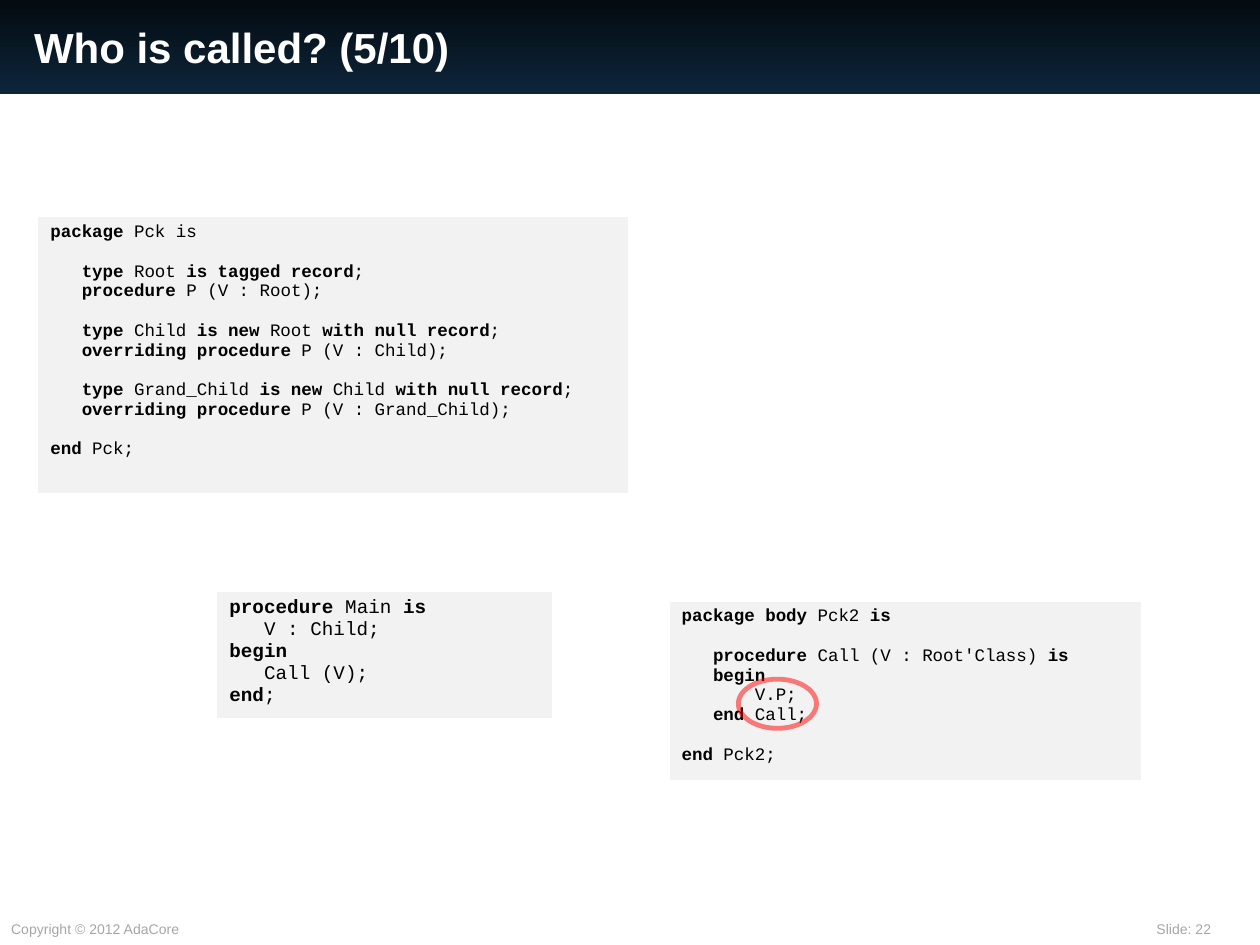
"""Build the Ada dispatching quiz slide "Who is called? (5/10)"."""
from dataclasses import dataclass

import pptx
import pptx.dml.color
import pptx.enum.shapes
import pptx.enum.text
import pptx.oxml
import pptx.oxml.ns
import pptx.util

Inches = pptx.util.Inches
Pt = pptx.util.Pt
MSO_SHAPE = pptx.enum.shapes.MSO_SHAPE


@dataclass(frozen=True)
class Theme:
    """Colours, fonts and type sizes."""
    sans: str = "Arial"
    mono: str = "Courier New"
    title_size: float = 24
    footer_size: float = 8
    line_height: float = 1.13
    white: str = "FFFFFF"
    black: str = "000000"
    grey: str = "A6A6A6"
    panel: str = "F2F2F2"
    ring: str = "FF0000"
    banner: tuple[str, str] = ("040B11", "0D253A")


@dataclass(frozen=True)
class Box:
    """Position and size in inches."""
    left: float
    top: float
    width: float
    height: float

    def emu(self) -> tuple[int, ...]:
        """Return the four lengths for an add method."""
        return tuple(Inches(v) for v in (self.left, self.top, self.width, self.height))


@dataclass(frozen=True)
class Listing:
    """A code panel; asterisks enclose bold keywords."""
    box: Box
    size: float
    code: str


@dataclass(frozen=True)
class Footer:
    """A small line of text at the bottom."""
    box: Box
    text: str
    wrap: bool


THEME = Theme()

LISTINGS = (
    Listing(Box(0.3, 1.72, 4.69, 2.2), 10, """\
*package* Pck is

   *type* Root *is tagged record*;
   *procedure* P (V : Root);

   *type* Child *is new* Root *with null record*;
   *overriding procedure* P (V : Child);

   *type* Grand_Child *is new* Child *with null record*;
   *overriding procedure* P (V : Grand_Child);

*end* Pck;"""),
    Listing(Box(5.31, 4.77, 3.75, 1.43), 10, """\
*package body* Pck2 *is*

   *procedure* Call (V : Root'Class) *is*
   *begin*
       V.P;
   *end* Call;

*end* Pck2;"""),
    Listing(Box(1.72, 4.69, 2.66, 1.02), 11, """\
*procedure* Main *is*
   V : Child;
*begin*
   Call (V);
*end*;"""),
)

FOOTERS = (
    Footer(Box(9.08, 7.26, 0.91, 0.24), "Slide: 22", True),
    Footer(Box(-0.01, 7.26, 1.57, 0.24), "Copyright © 2012 AdaCore", False),
)


def rgb(value: str) -> pptx.dml.color.RGBColor:
    """Turn a hex string into a colour."""
    return pptx.dml.color.RGBColor.from_string(value)


def add_run(p, text: str, font: str, size: float, color: str, bold: bool = False) -> None:
    """Append one formatted run."""
    r = p.add_run()
    r.text = text
    r.font.name = font
    r.font.size = Pt(size)
    r.font.bold = bold
    r.font.color.rgb = rgb(color)


def add_banner(s) -> None:
    """Draw the gradient banner and place the title on it."""
    banner = s.shapes.add_shape(MSO_SHAPE.RECTANGLE, *Box(-0.01, 0, 10.01, 0.75).emu())
    banner.shadow.inherit = False
    banner.line.fill.background()
    banner.fill.gradient()
    banner.fill.gradient_angle = 270
    for stop, position, color in zip(banner.fill.gradient_stops, (0, 1), THEME.banner):
        stop.position = position
        stop.color.rgb = rgb(color)

    title = s.shapes.title
    banner.element.addnext(title.element)
    title.left, title.top, title.width, title.height = Box(0.17, 0.08, 8.75, 0.58).emu()
    tf = title.text_frame
    tf.auto_size = pptx.enum.text.MSO_AUTO_SIZE.NONE
    tf.vertical_anchor = pptx.enum.text.MSO_ANCHOR.MIDDLE
    p = tf.paragraphs[0]
    p.alignment = pptx.enum.text.PP_ALIGN.LEFT
    add_run(p, "Who is called? (5/10)", THEME.sans, THEME.title_size, THEME.white, True)


def add_footer(s, footer: Footer) -> None:
    """Add one footer text box."""
    tf = s.shapes.add_textbox(*footer.box.emu()).text_frame
    tf.word_wrap = footer.wrap
    add_run(tf.paragraphs[0], footer.text, THEME.sans, THEME.footer_size, THEME.grey)


def set_borders(cell) -> None:
    """Give a cell white borders with a heavier bottom edge."""
    tc_pr = cell._tc.get_or_add_tcPr()
    for side, width in (("L", 0.45), ("R", 0.45), ("T", 0.45), ("B", 1.47)):
        tc_pr.append(pptx.oxml.parse_xml(
            f'<a:ln{side} {pptx.oxml.ns.nsdecls("a")} w="{Pt(width)}"><a:solidFill>'
            f'<a:srgbClr val="{THEME.white}"/></a:solidFill></a:ln{side}>'))


def add_listing(s, listing: Listing) -> None:
    """Add a one-cell table holding a code listing."""
    table = s.shapes.add_table(1, 1, *listing.box.emu()).table
    table.first_row = table.horz_banding = False
    cell = table.cell(0, 0)
    set_borders(cell)
    cell.fill.solid()
    cell.fill.fore_color.rgb = rgb(THEME.panel)
    tf = cell.text_frame
    p = tf.paragraphs[0]
    for block_no, block in enumerate(listing.code.split("\n\n")):
        for line_no, line in enumerate(block.split("\n")):
            if block_no or line_no:
                p = tf.add_paragraph()
            if block_no and not line_no:
                p.space_before = Pt(listing.size * THEME.line_height)
            for i, part in enumerate(line.split("*")):
                if part:
                    add_run(p, part, THEME.mono, listing.size, THEME.black, i % 2 == 1)


def add_ring(s, box: Box) -> None:
    """Circle the call in question with a translucent ring."""
    ring = s.shapes.add_shape(MSO_SHAPE.OVAL, *box.emu())
    ring.shadow.inherit = False
    ring.fill.background()
    ring.line.width = Pt(2.75)
    ring.line.color.rgb = rgb(THEME.ring)
    color = ring.element.spPr.find(".//" + pptx.oxml.ns.qn("a:srgbClr"))
    color.append(pptx.oxml.parse_xml(f'<a:alpha {pptx.oxml.ns.nsdecls("a")} val="49000"/>'))


def main() -> None:
    """Assemble and save the slide."""
    prs = pptx.Presentation()
    prs.slide_width, prs.slide_height = Inches(10), Inches(7.5)
    s = prs.slides.add_slide(prs.slide_layouts.get_by_name("Title Only"))
    for footer in FOOTERS:
        add_footer(s, footer)
    add_banner(s)
    for listing in LISTINGS:
        add_listing(s, listing)
    add_ring(s, Box(5.86, 5.39, 0.62, 0.39))
    prs.save("out.pptx")


if __name__ == "__main__":
    main()
